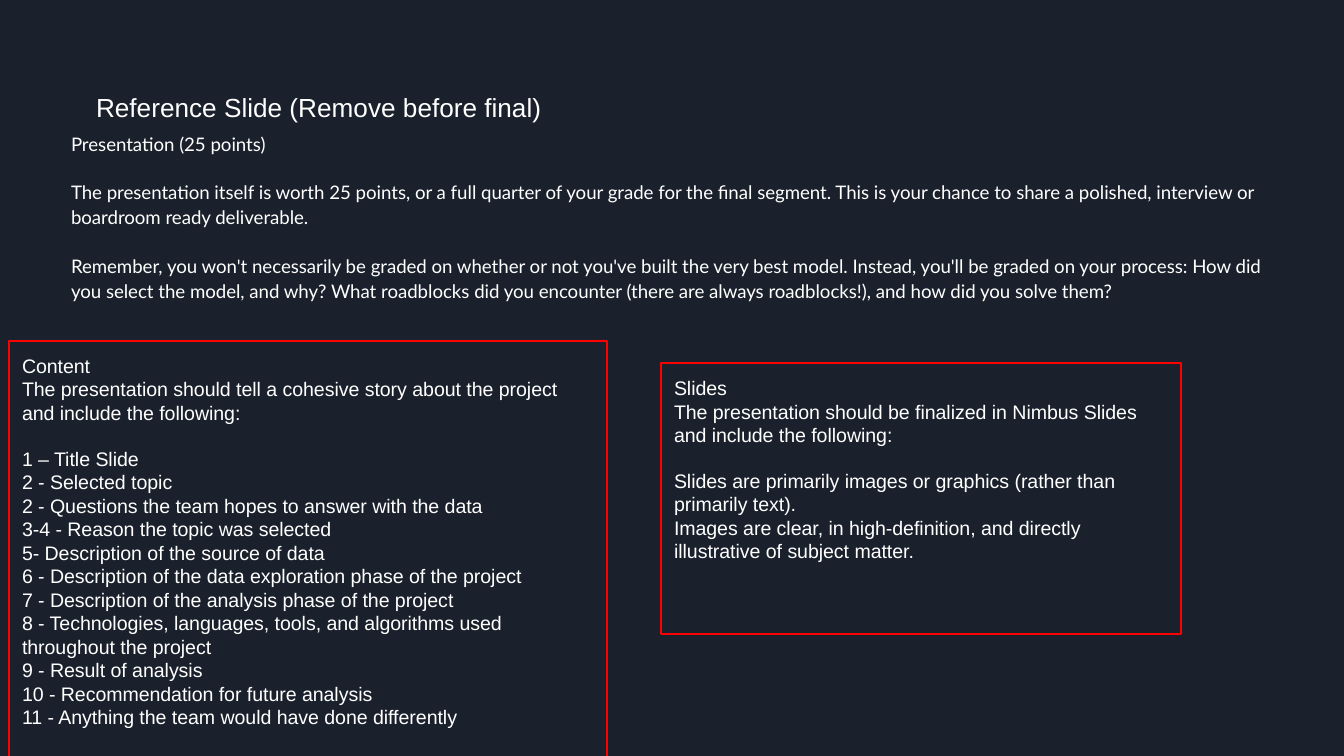
from lxml.etree import SubElement
from pptx import Presentation
from pptx.dml.color import RGBColor
from pptx.enum.shapes import MSO_SHAPE
from pptx.enum.text import MSO_ANCHOR, MSO_AUTO_SIZE, PP_ALIGN
from pptx.oxml.ns import qn
from pptx.util import Pt

PX = 9144000 / 1344
MARGIN = 13
WHITE = "FFFFFF"


def color(hex_code):
    return RGBColor.from_string(hex_code)


def fill_text(shape, box, lines, font, size):
    """Place the shape at box (px) and set its lines as left-aligned white text."""
    shape.left, shape.top, shape.width, shape.height = [round(n * PX) for n in box]
    frame = shape.text_frame
    frame.text = "\n".join(lines)
    frame.word_wrap = True
    frame.auto_size = MSO_AUTO_SIZE.NONE
    frame.vertical_anchor = MSO_ANCHOR.TOP
    frame.margin_left = frame.margin_right = round(MARGIN * PX)
    frame.margin_top = frame.margin_bottom = round(MARGIN * PX)
    for paragraph in frame.paragraphs:
        paragraph.alignment = PP_ALIGN.LEFT
        paragraph.space_before = Pt(0)
        for run in paragraph.runs:
            run.font.name = font
            run.font.size = Pt(size)
            run.font.color.rgb = color(WHITE)


prs = Presentation()
prs.slide_width, prs.slide_height = round(1344 * PX), round(756 * PX)
slide = prs.slides.add_slide(prs.slide_layouts[1])
slide.background.fill.solid()
slide.background.fill.fore_color.rgb = color("1B212C")

# Heading
fill_text(slide.shapes.title, (83, 78, 1019, 59),
          ["Reference Slide (Remove before final)"], "Arial", 14)

# Introduction
intro = slide.placeholders[1]
fill_text(intro, (58, 116, 1227, 247), [
    "Presentation (25 points)",
    "The presentation itself is worth 25 points, or a full quarter of your grade for "
    "the final segment. This is your chance to share a polished, interview or "
    "boardroom ready deliverable.",
    "Remember, you won't necessarily be graded on whether or not you've built the very "
    "best model. Instead, you'll be graded on your process: How did you select the "
    "model, and why? What roadblocks did you encounter (there are always roadblocks!), "
    "and how did you solve them?",
], "Lato", 10)
for paragraph in intro.text_frame.paragraphs:
    paragraph.line_spacing = 1.15
    paragraph.space_before = Pt(12)
    properties = paragraph._p.get_or_add_pPr()
    properties.set("marL", "0")
    properties.set("indent", "0")
    SubElement(properties, qn("a:buNone"))

# Requirement boxes: heading, lead-in, then the list after a gap
requirements = [
    ((9, 341, 598, 461), [
        "Content",
        "The presentation should tell a cohesive story about the project and include "
        "the following:",
        "1 – Title Slide",
        "2 - Selected topic",
        "2 - Questions the team hopes to answer with the data",
        "3-4 - Reason the topic was selected",
        "5- Description of the source of data",
        "6 - Description of the data exploration phase of the project",
        "7 - Description of the analysis phase of the project",
        "8 - Technologies, languages, tools, and algorithms used throughout the project",
        "9 - Result of analysis",
        "10 - Recommendation for future analysis",
        "11 - Anything the team would have done differently",
    ]),
    ((661, 363, 520, 271), [
        "Slides",
        "The presentation should be finalized in Nimbus Slides and include the following:",
        "Slides are primarily images or graphics (rather than primarily text).",
        "Images are clear, in high-definition, and directly illustrative of subject matter.",
    ]),
]
for box, lines in requirements:
    panel = slide.shapes.add_shape(MSO_SHAPE.RECTANGLE, 0, 0, 0, 0)
    panel.shadow.inherit = False
    panel.fill.background()
    panel.line.color.rgb = color("FF0000")
    panel.line.width = Pt(0.75)
    fill_text(panel, box, lines, "Arial", 10.5)
    panel.text_frame.paragraphs[2].space_before = Pt(12)

prs.save("out.pptx")
